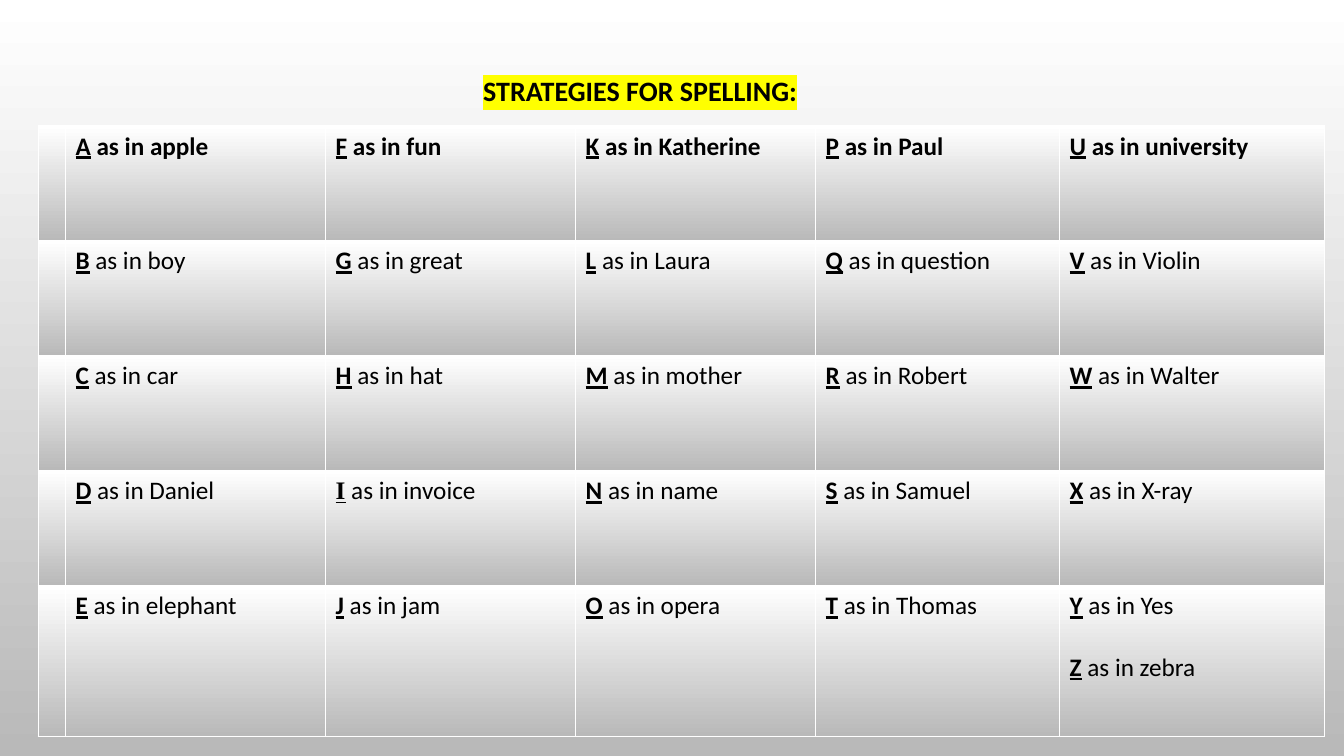
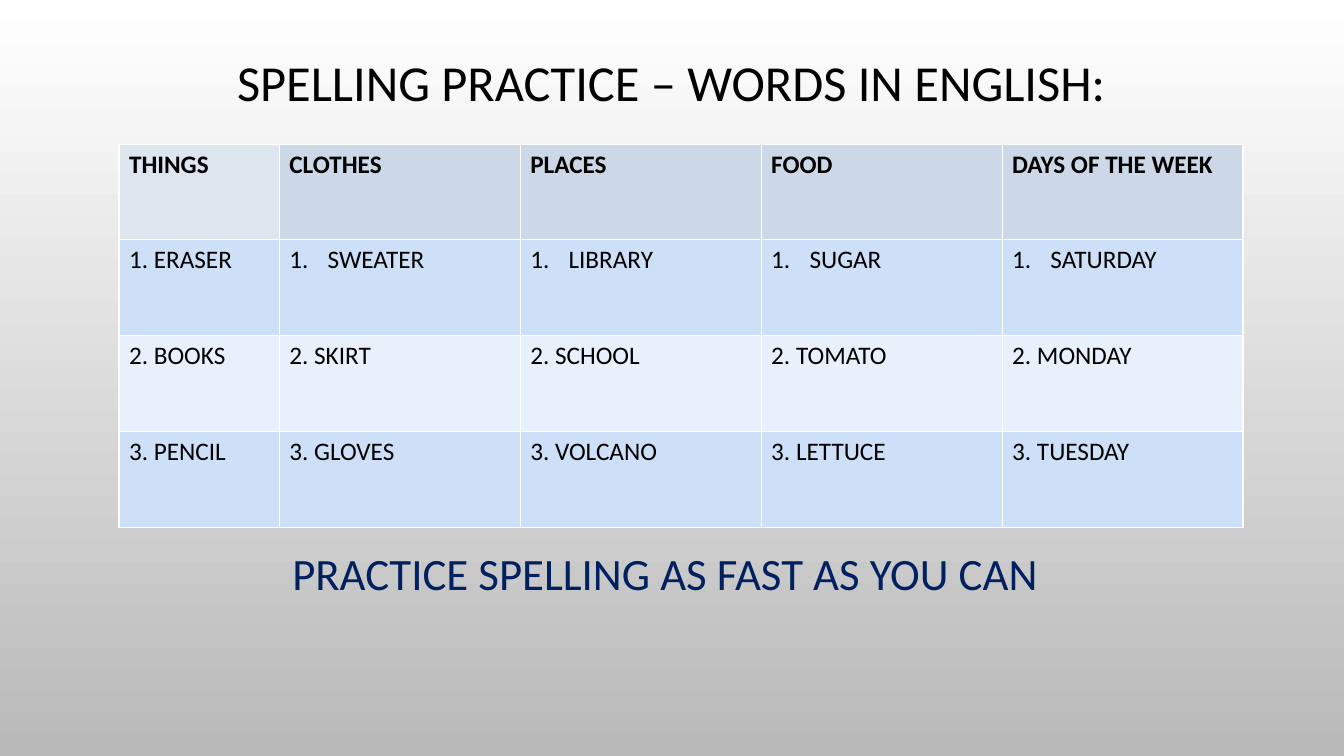
from lxml import etree
from pptx import Presentation
from pptx.dml.color import RGBColor
from pptx.enum.text import MSO_ANCHOR, PP_ALIGN
from pptx.oxml.ns import qn
from pptx.util import Inches, Pt

CENTER = PP_ALIGN.CENTER
MIDDLE = MSO_ANCHOR.MIDDLE
FONT = "Calibri"
LETTER_FONTS = {"I": "Times New Roman"}
COLORS = {
    "text": "000000",
    "navy": "002060",
    "highlight": "FFFF00",
    "light": "FFFFFF",
    "gray": "B9B9B9",
    "corner": "DDE5EF",
    "header": "CCD8E7",
    "odd_row": "CDE0F8",
    "even_row": "E8F0FC",
}


def fill_gradient(fill):
    fill.gradient()
    fill.gradient_angle = 270
    for stop, name in zip(fill.gradient_stops, ("light", "gray")):
        stop.color.rgb = RGBColor.from_string(COLORS[name])


def style(p, size, color="text", bold=None):
    p.font.name = FONT
    p.font.size = Pt(size)
    p.font.bold = bold
    p.font.color.rgb = RGBColor.from_string(COLORS[color])


prs = Presentation()
prs.slide_width = Inches(13.33)
prs.slide_height = Inches(7.5)
fill_gradient(prs.slide_master.background.fill)

titles = [
    ("STRATEGIES FOR SPELLING:", 0.69, 0.5, 20, True),
    ("SPELLING PRACTICE – WORDS IN ENGLISH:", 1, 0.41, 36, False),
]
for text, left, top, size, bold in titles:
    s = prs.slides.add_slide(prs.slide_layouts[5])
    title = s.shapes.title
    title.left, title.top = Inches(left), Inches(top)
    title.width, title.height = Inches(11.32), Inches(0.8)
    tf = title.text_frame
    tf.text = text
    tf.vertical_anchor = MIDDLE
    tf.paragraphs[0].alignment = CENTER
    style(tf.paragraphs[0], size, bold=bold)
alphabet_slide, practice_slide = prs.slides

r = alphabet_slide.shapes.title.text_frame.paragraphs[0].runs[0]
highlight = etree.SubElement(r._r.get_or_add_rPr(), qn("a:highlight"))
etree.SubElement(highlight, qn("a:srgbClr"), val=COLORS["highlight"])

tables = []
grids = [
    (alphabet_slide, 0.38, 1.25, [0.27, 2.58, 2.48, 2.38, 2.42, 2.63], [1.14] * 4 + [1.5]),
    (practice_slide, 1.18, 1.43, [1.59] + [2.39] * 4, [0.95] * 4),
]
for s, left, top, widths, heights in grids:
    frame = s.shapes.add_table(
        len(heights), len(widths), Inches(left), Inches(top),
        Inches(sum(widths)), Inches(sum(heights)))
    table = frame.table
    for column, width in zip(table.columns, widths):
        column.width = Inches(width)
    for row, height in zip(table.rows, heights):
        row.height = Inches(height)
    tables.append(table)
alphabet, practice = tables

words = [
    "apple", "boy", "car", "Daniel", "elephant",
    "fun", "great", "hat", "invoice", "jam",
    "Katherine", "Laura", "mother", "name", "opera",
    "Paul", "question", "Robert", "Samuel", "Thomas",
    "university", "Violin", "Walter", "X-ray", "Yes",
    "zebra",
]
for cell in alphabet.iter_cells():
    fill_gradient(cell.fill)
for i, word in enumerate(words):
    letter = chr(ord("A") + i)
    column, row = divmod(min(i, 24), 5)
    tf = alphabet.cell(row, column + 1).text_frame
    if letter == "Z":
        p = tf.add_paragraph()
        p.space_before = Pt(22)
    else:
        p = tf.paragraphs[0]
    style(p, 18)
    r = p.add_run()
    r.text = letter
    r.font.bold = r.font.underline = True
    r.font.name = LETTER_FONTS.get(letter, FONT)
    r = p.add_run()
    r.text = f" as in {word}"
    r.font.bold = row == 0

categories = {
    "THINGS": ["ERASER", "BOOKS", "PENCIL"],
    "CLOTHES": ["SWEATER", "SKIRT", "GLOVES"],
    "PLACES": ["LIBRARY", "SCHOOL", "VOLCANO"],
    "FOOD": ["SUGAR", "TOMATO", "LETTUCE"],
    "DAYS OF THE WEEK": ["SATURDAY", "MONDAY", "TUESDAY"],
}
row_fills = ["header", "odd_row", "even_row", "odd_row"]
for column, (category, items) in enumerate(categories.items()):
    for row, text in enumerate([category] + items):
        cell = practice.cell(row, column)
        numbered = row == 1 and column > 0
        cell.text = text if row == 0 or numbered else f"{row}. {text}"
        cell.fill.solid()
        name = "corner" if row == column == 0 else row_fills[row]
        cell.fill.fore_color.rgb = RGBColor.from_string(COLORS[name])
        p = cell.text_frame.paragraphs[0]
        style(p, 18, bold=row == 0)
        if numbered:
            pPr = p._p.get_or_add_pPr()
            pPr.set("marL", str(Inches(0.38)))
            pPr.set("indent", str(-Inches(0.38)))
            number = etree.Element(qn("a:buAutoNum"), type="arabicPeriod")
            pPr.insert(0, number)

box = practice_slide.shapes.add_textbox(Inches(1), Inches(5.28), Inches(11.2), Inches(0.8))
tf = box.text_frame
tf.word_wrap = True
tf.vertical_anchor = MIDDLE
p = tf.paragraphs[0]
p.text = "PRACTICE SPELLING AS FAST AS YOU CAN"
p.alignment = CENTER
style(p, 32, "navy")

prs.save("out.pptx")
